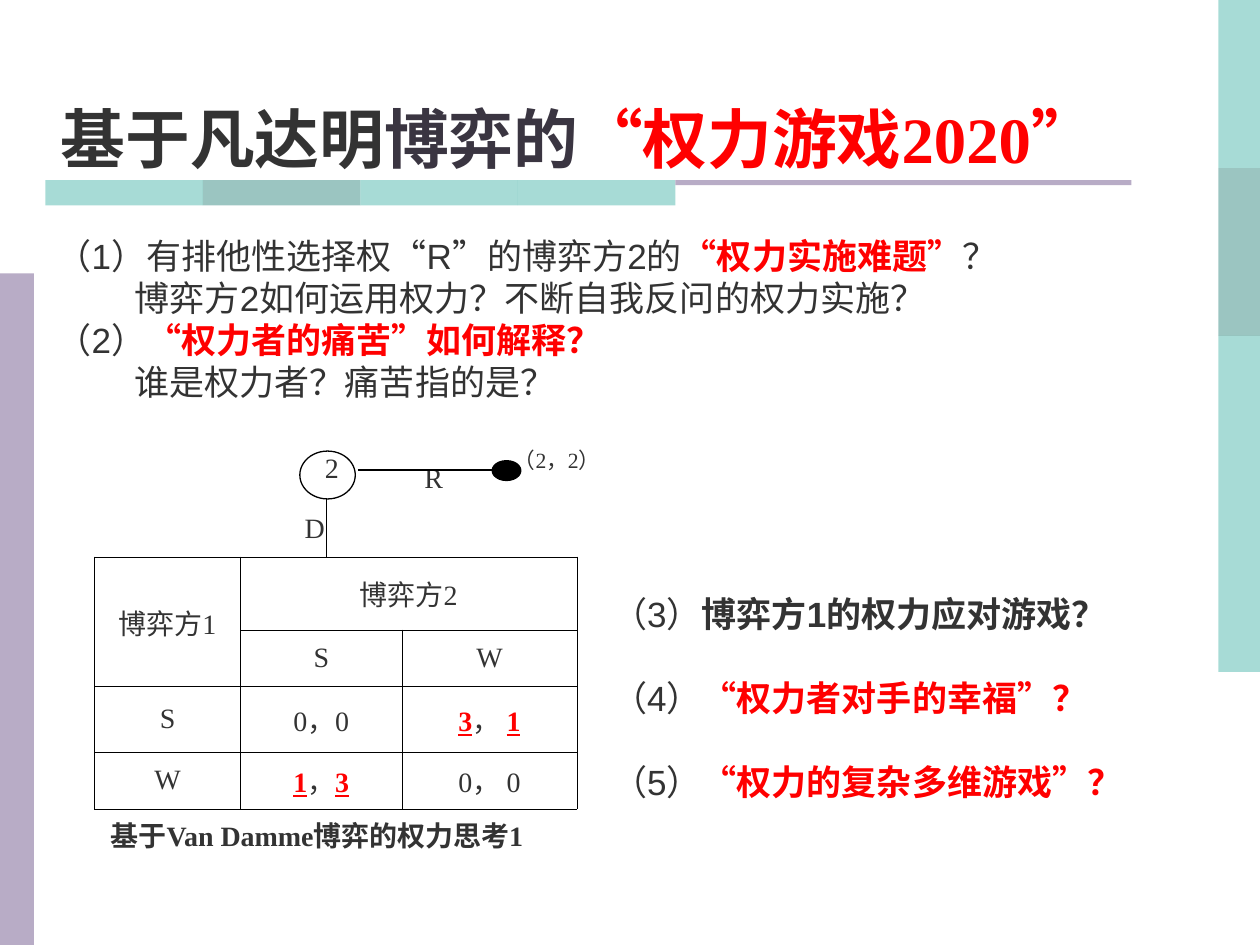
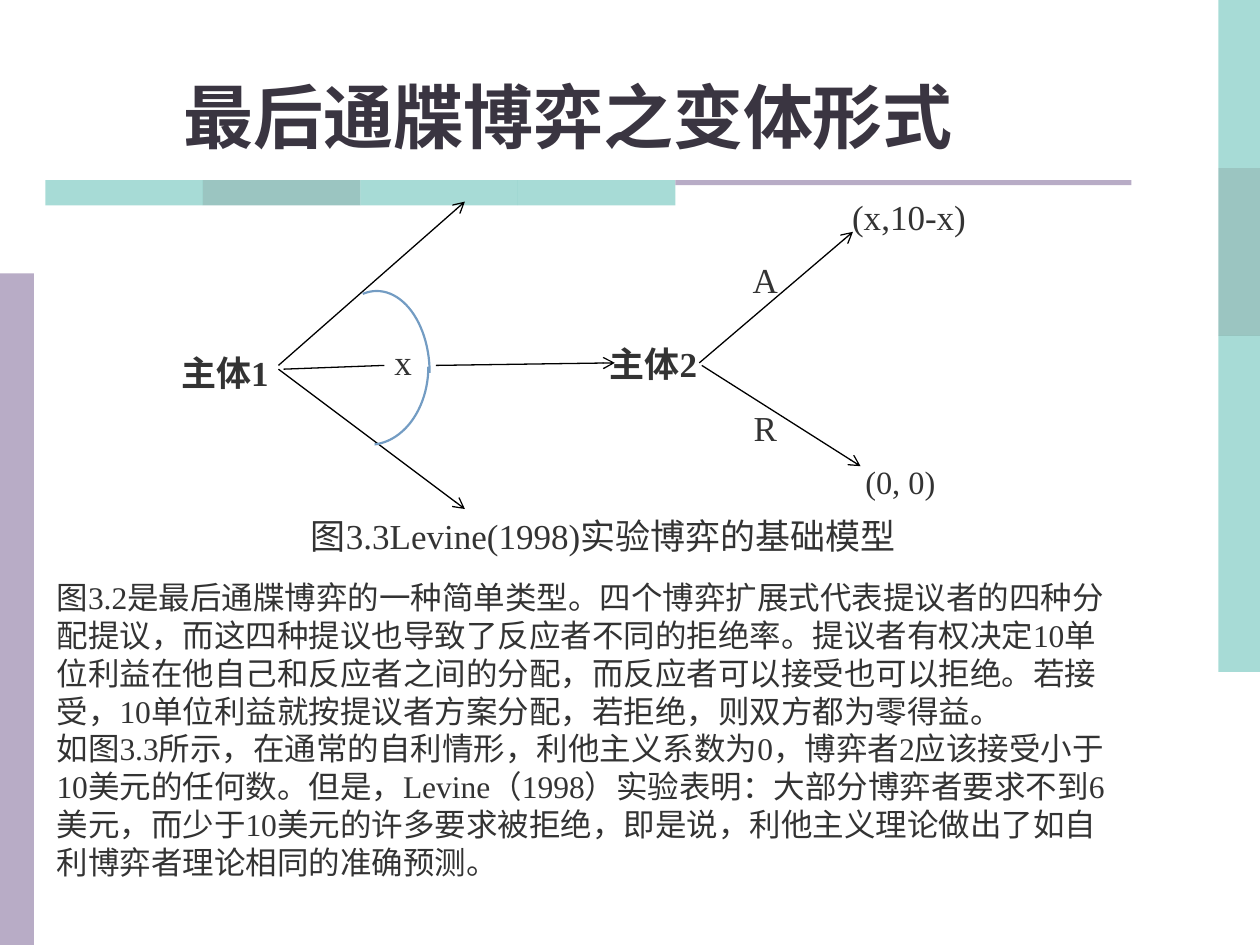
"""Build two game-theory slides that share colour bands and a title style."""
from dataclasses import dataclass, field
from typing import Any, NamedTuple, Optional

from lxml.etree import SubElement
from pptx import Presentation
from pptx.dml.color import RGBColor
from pptx.enum.lang import MSO_LANGUAGE_ID
from pptx.enum.shapes import MSO_CONNECTOR, MSO_SHAPE
from pptx.enum.text import MSO_ANCHOR, MSO_AUTO_SIZE, PP_ALIGN
from pptx.oxml.ns import qn
from pptx.util import Inches, Pt


@dataclass(frozen=True)
class Theme:
    """Colours, fonts and type sizes of the deck."""
    ink: str = "333333"
    plum: str = "3A3541"
    red: str = "FF0000"
    teal: str = "51B9AF"
    deep_teal: str = "398D85"
    lilac: str = "B8ACC6"
    arc: str = "739CC3"
    black: str = "000000"
    white: str = "FFFFFF"
    sans: str = "Arial"
    serif: str = "Times New Roman"
    title: float = 40
    long_title: float = 37
    body: float = 20
    payoff: float = 18.5
    prose: float = 18
    game: float = 16
    outcome: float = 12.4


T = Theme()
STYLES: dict[str, dict[str, Any]] = {
    "plain": {"color": T.ink},
    "bold": {"color": T.ink, "bold": True},
    "plum": {"color": T.plum, "bold": True},
    "hot": {"color": T.red, "bold": True},
    "best": {"color": T.red, "bold": True, "underline": True},
}


class Run(NamedTuple):
    text: str
    style: str = "plain"


class Para(NamedTuple):
    runs: list[Run]
    indent: float = 0
    before: float = 0


class Box(NamedTuple):
    left: float
    top: float
    width: float
    height: float


@dataclass
class Copy:
    """Paragraphs with the format they share."""
    paras: list[Para]
    size: float
    font: str = T.serif
    frame: dict[str, Any] = field(default_factory=dict)
    para: dict[str, Any] = field(default_factory=dict)


class Label(NamedTuple):
    text: str
    box: Box
    style: str = "plain"
    size: float = T.body


class Line(NamedTuple):
    start: tuple[float, float]
    end: tuple[float, float]
    arrow: bool = False


class Arc(NamedTuple):
    box: Box
    start: float
    sweep_end: float


def apply(target: Any, values: dict[str, Any]) -> None:
    for name, value in values.items():
        setattr(target, name, value)


def inches(box: Box) -> list[Inches]:
    return [Inches(v) for v in box]


def write(tf: Any, copy: Copy) -> None:
    apply(tf, {"word_wrap": True, "auto_size": MSO_AUTO_SIZE.NONE, **copy.frame})
    for i, para in enumerate(copy.paras):
        p = tf.paragraphs[0] if i == 0 else tf.add_paragraph()
        apply(p, {"space_before": Pt(para.before), **copy.para})
        if para.indent:
            p._p.get_or_add_pPr().set("marL", str(Inches(para.indent)))
        for run in para.runs:
            r = p.add_run()
            r.text = run.text
            style = {"bold": False, **STYLES[run.style]}
            r.font.color.rgb = RGBColor.from_string(style.pop("color"))
            apply(r.font, {"name": copy.font, "size": Pt(copy.size),
                           "language_id": MSO_LANGUAGE_ID.SIMPLIFIED_CHINESE, **style})


def add_text(s: Any, box: Box, copy: Copy) -> None:
    write(s.shapes.add_textbox(*inches(box)).text_frame, copy)


def add_shape(s: Any, kind: MSO_SHAPE, box: Box, fill: Optional[str] = None,
              line: Optional[str] = None, weight: float = 0.75, alpha: int = 100) -> Any:
    sp = s.shapes.add_shape(kind, *inches(box))
    sp.shadow.inherit = False
    if fill:
        sp.fill.solid()
        sp.fill.fore_color.rgb = RGBColor.from_string(fill)
        if alpha < 100:
            color = sp.fill._xPr.find(f"{qn('a:solidFill')}/{qn('a:srgbClr')}")
            SubElement(color, qn("a:alpha"), val=str(alpha * 1000))
    else:
        sp.fill.background()
    if line:
        sp.line.color.rgb = RGBColor.from_string(line)
        sp.line.width = Pt(weight)
    else:
        sp.line.fill.background()
    return sp


def add_line(s: Any, line: Line) -> None:
    c = s.shapes.add_connector(MSO_CONNECTOR.STRAIGHT,
                               *[Inches(v) for v in (*line.start, *line.end)])
    c.line.color.rgb = RGBColor.from_string(T.black)
    c.line.width = Pt(0.75)
    if line.arrow:
        SubElement(c.line._get_or_add_ln(), qn("a:tailEnd"), type="arrow")
    SubElement(c._element.spPr, qn("a:effectLst"))


def add_label(s: Any, label: Label) -> None:
    sp = add_shape(s, MSO_SHAPE.RECTANGLE, label.box, T.white, T.white)
    margins = {f"margin_{side}": 0 for side in ("left", "top", "right", "bottom")}
    write(sp.text_frame, Copy([Para([Run(label.text, label.style)])], label.size,
                              frame={"vertical_anchor": MSO_ANCHOR.TOP, **margins},
                              para={"alignment": PP_ALIGN.CENTER}))


def add_arc(s: Any, arc: Arc) -> None:
    sp = add_shape(s, MSO_SHAPE.ARC, arc.box, line=T.arc, weight=1.25)
    for i, angle in enumerate((arc.start, arc.sweep_end)):
        sp.adjustments[i] = angle * 0.6


def add_base(prs: Any, box: Box, runs: list[Run], size: float, spacing: float = 1.0) -> Any:
    s = prs.slides.add_slide(prs.slide_layouts[5])
    for i, color in enumerate((T.teal, T.deep_teal, T.teal, T.teal)):
        for band in (Box(9.67, i * 4 / 3, 0.33, 4 / 3), Box(0.36 + i * 1.25, 1.43, 1.25, 0.2)):
            add_shape(s, MSO_SHAPE.RECTANGLE, band, color, alpha=50)
    for bar in (Box(0, 2.17, 0.27, 5.33), Box(5.36, 1.43, 3.62, 0.04)):
        add_shape(s, MSO_SHAPE.RECTANGLE, bar, T.lilac)
    title = s.shapes.title
    apply(title, dict(zip(("left", "top", "width", "height"), inches(box))))
    write(title.text_frame, Copy([Para(runs)], size, frame={"vertical_anchor": MSO_ANCHOR.BOTTOM},
                                 para={"alignment": PP_ALIGN.CENTER, "line_spacing": spacing}))
    return s


def add_payoffs(s: Any, box: Box, widths: list[float], heights: list[float],
                cells: dict[tuple[int, int], list[Run]]) -> None:
    table = s.shapes.add_table(len(heights), len(widths), *inches(box)).table
    apply(table, {"first_row": False, "horz_banding": False})
    for column, width in zip(table.columns, widths):
        column.width = Inches(width)
    for row, height in zip(table.rows, heights):
        row.height = Inches(height)
    for cell in table.iter_cells():
        tcPr = cell._tc.get_or_add_tcPr()
        for edge in ("lnL", "lnR", "lnT", "lnB"):
            ln = SubElement(tcPr, qn(f"a:{edge}"), w=str(Pt(0.45)))
            SubElement(SubElement(ln, qn("a:solidFill")), qn("a:srgbClr"), val=T.black)
        cell.fill.background()
    table.cell(0, 0).merge(table.cell(1, 0))
    table.cell(0, 1).merge(table.cell(0, 2))
    for (row, col), runs in cells.items():
        cell = table.cell(row, col)
        cell.vertical_anchor = MSO_ANCHOR.MIDDLE
        write(cell.text_frame, Copy([Para(runs)], T.game, para={"alignment": PP_ALIGN.CENTER}))


def build_power_game(prs: Any) -> None:
    s = add_base(prs, Box(0.08, 0.6, 9.02, 0.86),
                 [Run("基于凡达明", "bold"), Run("博弈的", "plum"), Run("“权力游戏2020”", "hot")],
                 T.long_title, 0.9)
    middle = {"vertical_anchor": MSO_ANCHOR.MIDDLE}
    add_text(s, Box(0.35, 1.81, 8.83, 1.44), Copy([
        Para([Run("（1）有排他性选择权“R”的博弈方2的"), Run("“权力实施难题”", "hot"), Run("？")]),
        Para([Run("博弈方2如何运用权力？不断自我反问的权力实施？")], indent=0.62),
        Para([Run("（2）"), Run("“权力者的痛苦”如何解释？", "hot")]),
        Para([Run("谁是权力者？痛苦指的是？")], indent=0.62),
    ], T.body, T.sans, middle))
    add_payoffs(s, Box(0.75, 4.42, 3.83, 2), [1.16, 1.28, 1.39], [0.58, 0.45, 0.52, 0.45], {
        (0, 0): [Run("博弈方1")], (0, 1): [Run("博弈方2")],
        (1, 1): [Run("S")], (1, 2): [Run("W")],
        (2, 0): [Run("S")], (2, 1): [Run("0，0")],
        (2, 2): [Run("3", "best"), Run("， "), Run("1", "best")],
        (3, 0): [Run("W")], (3, 1): [Run("1", "best"), Run("，"), Run("3", "best")],
        (3, 2): [Run("0， 0")],
    })
    for text, left, top in (("2", 2.48, 3.53), ("D", 2.32, 4), ("R", 3.27, 3.61)):
        add_text(s, Box(left, top, 0.44, 0.37), Copy([Para([Run(text)])], T.game))
    add_text(s, Box(3.98, 3.54, 1.11, 0.38),
             Copy([Para([Run("（2，2）")])], T.outcome, para={"line_spacing": 0.8}))
    add_shape(s, MSO_SHAPE.OVAL, Box(2.38, 3.58, 0.44, 0.38), line=T.black)
    add_line(s, Line((2.59, 3.96), (2.59, 4.43)))
    add_line(s, Line((2.84, 3.73), (3.94, 3.73)))
    add_shape(s, MSO_SHAPE.OVAL, Box(3.91, 3.66, 0.22, 0.15), T.black, T.black, 1.25)
    add_text(s, Box(0.78, 6.45, 3.65, 0.37),
             Copy([Para([Run("基于Van Damme博弈的权力思考1", "bold")])], T.game,
                  frame={"word_wrap": False}))
    add_text(s, Box(4.76, 4.65, 4.14, 1.77), Copy([
        Para([Run("（3）"), Run("博弈方1的权力应对游戏？", "bold")]),
        Para([Run("（4）"), Run("“权力者对手的幸福”？", "hot")], before=24),
        Para([Run("（5）"), Run("“权力的复杂多维游戏”？", "hot")], before=24),
    ], T.body, T.sans, middle))


def build_ultimatum(prs: Any) -> None:
    s = add_base(prs, Box(0, 0.44, 9.02, 0.86), [Run("最后通牒博弈之变体形式", "plum")], T.title)
    for label in (
        Label("主体1", Box(1.36, 2.79, 0.85, 0.64), "bold"),
        Label("主体2", Box(4.76, 2.72, 0.85, 0.64), "bold"),
        Label("x", Box(2.94, 2.7, 0.52, 0.66)),
        Label("A", Box(5.76, 2.05, 0.63, 0.68)),
        Label("R", Box(5.76, 3.23, 0.63, 0.68)),
        Label("(x,10-x)", Box(6.66, 1.55, 1.11, 0.71)),
        Label("(0, 0)", Box(6.59, 3.67, 1.11, 0.37), size=T.payoff),
        Label("图3.3Levine(1998)实验博弈的基础模型", Box(2.36, 4.08, 4.86, 0.46)),
    ):
        add_label(s, label)
    for line in (
        Line((2.21, 2.9), (3.69, 1.6), True),
        Line((2.21, 2.93), (3.69, 4.04), True),
        Line((2.25, 2.93), (3.05, 2.9)),
        Line((3.46, 2.9), (4.88, 2.88), True),
        Line((5.55, 2.88), (6.77, 1.84), True),
        Line((5.57, 2.9), (6.83, 3.7), True),
    ):
        add_line(s, line)
    add_arc(s, Arc(Box(2.57, 2.31, 0.84, 1.3), 260, 0))
    add_arc(s, Arc(Box(2.46, 2.29, 0.94, 1.24), 0, 86))
    add_text(s, Box(0.35, 4.54, 8.58, 2.5), Copy([
        Para([Run("图3.2是最后通牒博弈的一种简单类型。四个博弈扩展式代表提议者的四种分配提议，"
                  "而这四种提议也导致了反应者不同的拒绝率。提议者有权决定10单位利益在他自己和反应者之间的分配，"
                  "而反应者可以接受也可以拒绝。若接受，10单位利益就按提议者方案分配，若拒绝，则双方都为零得益。")]),
        Para([Run("如图3.3所示，在通常的自利情形，利他主义系数为0，博弈者2应该接受小于10美元的任何数。"
                  "但是，Levine（1998）实验表明：大部分博弈者要求不到6美元，而少于10美元的许多要求被拒绝，"
                  "即是说，利他主义理论做出了如自利博弈者理论相同的准确预测。")]),
    ], T.prose))


def main() -> None:
    prs = Presentation()
    apply(prs, {"slide_width": Inches(10), "slide_height": Inches(7.5)})
    build_power_game(prs)
    build_ultimatum(prs)
    prs.save("out.pptx")


if __name__ == "__main__":
    main()
